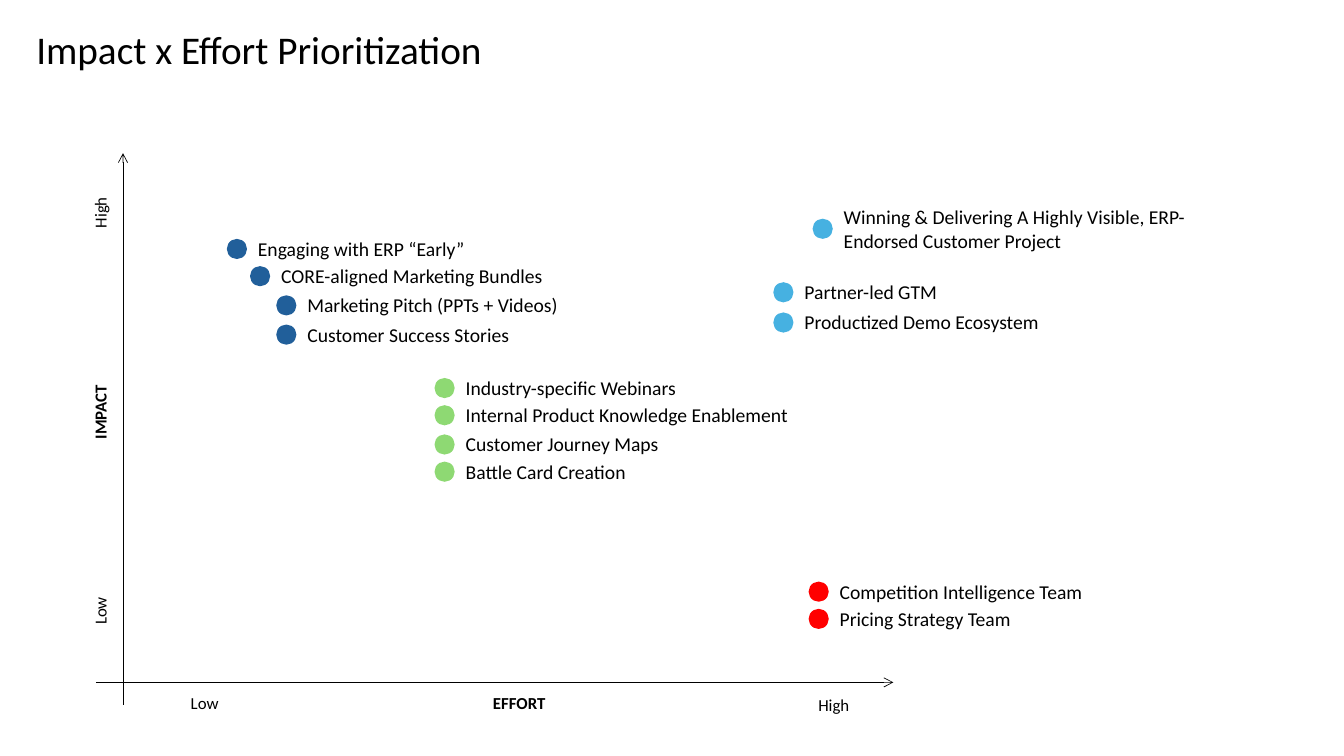
from lxml.etree import SubElement as Sub
from pptx import Presentation
from pptx.dml.color import RGBColor
from pptx.enum.shapes import MSO_CONNECTOR as Line, MSO_SHAPE as Shape
from pptx.enum.text import MSO_ANCHOR as Anchor, MSO_AUTO_SIZE as Fit, PP_ALIGN as Align
from pptx.oxml.ns import qn
from pptx.util import Inches, Pt

BLACK = RGBColor(0x00, 0x00, 0x00)
NAVY = RGBColor(0x21, 0x5F, 0x9A)
SKY = RGBColor(0x46, 0xB1, 0xE1)
GREEN = RGBColor(0x8E, 0xD9, 0x73)
RED = RGBColor(0xFF, 0x00, 0x00)

DOT = 0.2      # dot diameter
GAP = 0.21     # dot left edge to text box

# Colour of each cluster, then its items: text, dot left, dot top, text height
ITEMS = [
    (NAVY, [("Engaging with ERP “Early”", 2.25, 2.37, 0.34),
            ("CORE-aligned Marketing Bundles", 2.48, 2.64, 0.34),
            ("Marketing Pitch (PPTs + Videos)", 2.74, 2.93, 0.34),
            ("Customer Success Stories", 2.74, 3.22, 0.34)]),
    (SKY, [("Winning & Delivering A Highly Visible, ERP-Endorsed Customer Project",
            8.06, 2.17, 0.57),
           ("Partner-led GTM", 7.67, 2.8, 0.34),
           ("Productized Demo Ecosystem", 7.67, 3.1, 0.34)]),
    (GREEN, [("Industry-specific Webinars", 4.31, 3.75, 0.34),
             ("Internal Product Knowledge Enablement", 4.31, 4.02, 0.34),
             ("Customer Journey Maps", 4.31, 4.31, 0.34),
             ("Battle Card Creation", 4.31, 4.58, 0.34)]),
    (RED, [("Competition Intelligence Team", 8.02, 5.77, 0.34),
           ("Pricing Strategy Team", 8.02, 6.04, 0.34)]),
]

# Axis labels: text, left, top, width, rotation, bold
LABELS = [
    ("High", 0.4, 1.97, 1.18, 270, False),
    ("IMPACT", 0.4, 3.95, 1.18, 270, True),
    ("Low", 0.4, 5.92, 1.18, 270, False),
    ("Low", 1.44, 6.83, 1.18, 0, False),
    ("EFFORT", 4.46, 6.83, 1.38, 0, True),
    ("High", 7.68, 6.85, 1.18, 0, False),
]


def box(*sizes):
    return [Inches(size) for size in sizes]


class Chart:
    font = {"name": "Calibri", "bold": False}

    def __init__(self, deck):
        self.slide = deck.slides.add_slide(deck.slide_layouts[5])
        self.shapes = self.slide.shapes

    def letter(self, shape, text, size, align=Align.LEFT, **look):
        frame = shape.text_frame
        frame.word_wrap = True
        frame.text = text
        para = frame.paragraphs[0]
        para.alignment = align
        for key, value in {**self.font, "size": Pt(size), **look}.items():
            setattr(para.font, key, value)
        para.font.color.rgb = BLACK
        return frame

    def title(self, text):
        shape = self.shapes.title
        shape.left, shape.top, shape.width, shape.height = box(0.26, 0.2, 12.66, 0.57)
        frame = self.letter(shape, text, 28)
        frame.vertical_anchor = Anchor.TOP
        frame.auto_size = Fit.SHAPE_TO_FIT_TEXT

    def axis(self, *ends):
        line = self.shapes.add_connector(Line.STRAIGHT, *box(*ends))
        line.line.color.rgb = BLACK
        line.line.width = Pt(0.5)
        props = line._element.spPr
        Sub(props.find(qn("a:ln")), qn("a:tailEnd"), type="arrow")
        Sub(props, qn("a:effectLst"))

    def label(self, text, left, top, width, turn, bold):
        shape = self.shapes.add_shape(Shape.ROUNDED_RECTANGLE, *box(left, top, width, 0.28))
        shape.adjustments[0] = 0.05
        shape.rotation = turn
        shape.shadow.inherit = False
        shape.fill.background()
        shape.line.fill.background()
        frame = self.letter(shape, text, 12, Align.CENTER, bold=bold)
        frame.vertical_anchor = Anchor.MIDDLE
        for side in ("left", "top", "right", "bottom"):
            setattr(frame, f"margin_{side}", 0)

    def item(self, color, text, left, top, height):
        group = self.shapes.add_group_shape().shapes
        dot = group.add_shape(Shape.OVAL, *box(left, top, DOT, DOT))
        dot.shadow.inherit = False
        dot.fill.solid()
        dot.fill.fore_color.rgb = color
        dot.line.fill.background()
        note = group.add_textbox(*box(left + GAP, top + (DOT - height) / 2, 4.03, height))
        self.letter(note, text, 14).auto_size = Fit.SHAPE_TO_FIT_TEXT


def main():
    deck = Presentation()
    deck.slide_width, deck.slide_height = box(13.33, 7.5)
    chart = Chart(deck)
    chart.title("Impact x Effort Prioritization")

    # Axes and their labels
    chart.axis(1.22, 6.99, 1.22, 1.52)
    chart.axis(0.95, 6.77, 8.86, 6.77)
    for label in LABELS:
        chart.label(*label)

    # Initiatives by cluster
    for color, items in ITEMS:
        for item in items:
            chart.item(color, *item)

    deck.save("out.pptx")


if __name__ == "__main__":
    main()
